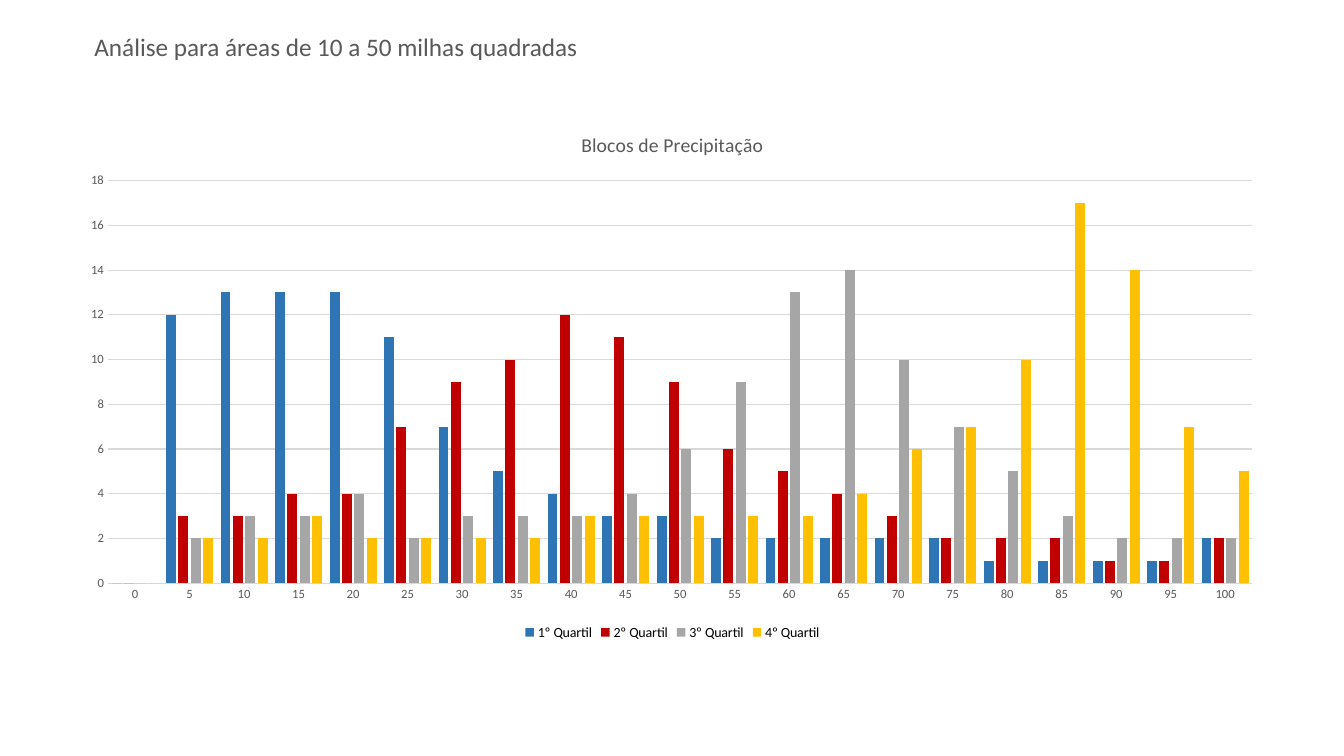
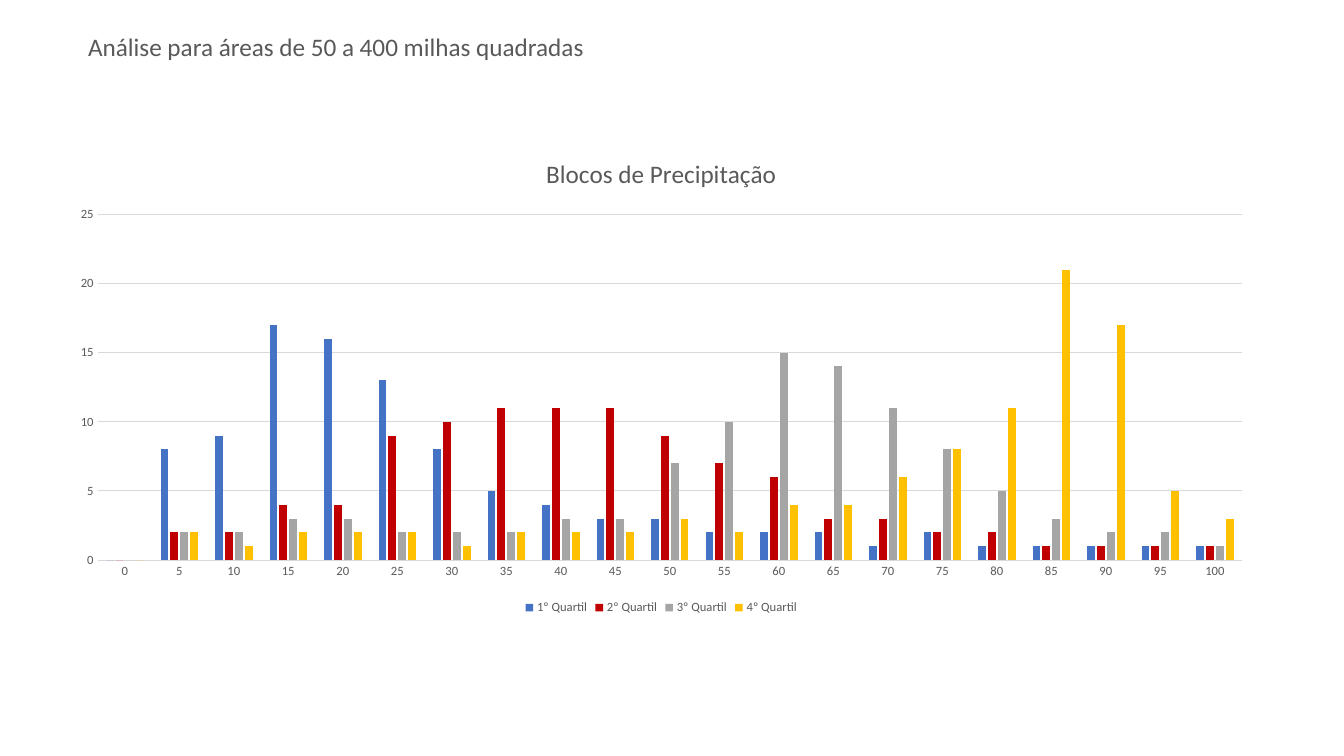
import pptx
import pptx.chart.data
import pptx.dml.color
import pptx.enum.chart
import pptx.enum.text
import pptx.oxml
import pptx.oxml.ns
import pptx.util

Pt = pptx.util.Pt
FONT = "Calibri"
COLORS = {
    "text": "595959",
    "legend": "000000",
    "grid": "D9D9D9",
    "red": "C00000",
    "yellow": "FFC000",
}
CATEGORIES = [str(n) for n in range(0, 101, 5)]
QUARTILES = ["1º Quartil", "2º Quartil", "3º Quartil", "4º Quartil"]
HEADING_BOX = (0, 18.7, 480, 29)

SLIDES = [
    {
        "heading": "Análise para áreas de 10 a 50 milhas quadradas",
        "box": (49, 80, 862.6, 380.2),
        "insets": (28, 49, 17, 43.5),
        "title_size": 14,
        "legend": (10, "legend"),
        "gap": 75,
        "overlap": -25,
        "scale": (18, 2),
        "fills": ["2E75B6", COLORS["red"], "A6A6A6", COLORS["yellow"]],
        "values": [
            [0, 12, 13, 13, 13, 11, 7, 5, 4, 3, 3, 2, 2, 2, 2, 2, 1, 1, 1, 1, 2],
            [0, 3, 3, 4, 4, 7, 9, 10, 12, 11, 9, 6, 5, 4, 3, 2, 2, 2, 1, 1, 2],
            [0, 2, 3, 3, 4, 2, 3, 3, 3, 4, 6, 9, 13, 14, 10, 7, 5, 3, 2, 2, 2],
            [0, 2, 2, 3, 2, 2, 2, 2, 3, 3, 3, 3, 3, 4, 6, 7, 10, 17, 14, 7, 5],
        ],
    },
    {
        "heading": "Análise para áreas de 50 a 400 milhas quadradas",
        "box": (40.3, 97.9, 864, 344.2),
        "insets": (29.4, 55.3, 17, 42),
        "title_size": 18,
        "legend": (9, "text"),
        "gap": 219,
        "overlap": -27,
        "scale": (25, 5),
        "fills": ["4472C4", COLORS["red"], "A5A5A5", COLORS["yellow"]],
        "values": [
            [0, 8, 9, 17, 16, 13, 8, 5, 4, 3, 3, 2, 2, 2, 1, 2, 1, 1, 1, 1, 1],
            [0, 2, 2, 4, 4, 9, 10, 11, 11, 11, 9, 7, 6, 3, 3, 2, 2, 1, 1, 1, 1],
            [0, 2, 2, 3, 3, 2, 2, 2, 3, 3, 7, 10, 15, 14, 11, 8, 5, 3, 2, 2, 1],
            [0, 2, 1, 2, 2, 2, 1, 2, 2, 2, 3, 2, 4, 4, 6, 8, 11, 21, 17, 5, 3],
        ],
    },
]


def rgb(value):
    return pptx.dml.color.RGBColor.from_string(value)


def style_font(font, size, color="text"):
    font.name = FONT
    font.size = Pt(size)
    font.bold = False
    font.color.rgb = rgb(COLORS[color])


def style_line(line):
    line.color.rgb = rgb(COLORS["grid"])
    line.width = Pt(0.75)


def add_heading(s, box, text):
    tf = s.shapes.add_textbox(*map(Pt, box)).text_frame
    tf.word_wrap = True
    tf.auto_size = pptx.enum.text.MSO_AUTO_SIZE.SHAPE_TO_FIT_TEXT
    tf.text = text
    p = tf.paragraphs[0]
    p.alignment = pptx.enum.text.PP_ALIGN.CENTER
    style_font(p.runs[0].font, 18)


def set_plot_insets(chart, box, insets):
    width, height = box[2:]
    left, top, right, bottom = insets
    fractions = {
        "x": left / width,
        "y": top / height,
        "w": (width - left - right) / width,
        "h": (height - top - bottom) / height,
    }
    plot_area = chart.plots[0]._element.getparent()
    old = plot_area.find(pptx.oxml.ns.qn("c:layout"))
    if old is not None:
        plot_area.remove(old)
    values = "".join(f'<c:{k} val="{v:.4f}"/>' for k, v in fractions.items())
    plot_area.insert(0, pptx.oxml.parse_xml(
        f'<c:layout {pptx.oxml.ns.nsdecls("c")}><c:manualLayout>'
        '<c:layoutTarget val="inner"/><c:xMode val="edge"/><c:yMode val="edge"/>'
        f'{values}</c:manualLayout></c:layout>'))


def style_axes(chart, scale):
    for axis in (chart.category_axis, chart.value_axis):
        axis.major_tick_mark = pptx.enum.chart.XL_TICK_MARK.NONE
        axis.minor_tick_mark = pptx.enum.chart.XL_TICK_MARK.NONE
        style_font(axis.tick_labels.font, 9)
    style_line(chart.category_axis.format.line)
    axis = chart.value_axis
    axis.format.line.fill.background()
    axis.has_major_gridlines = True
    style_line(axis.major_gridlines.format.line)
    axis.minimum_scale = 0
    axis.maximum_scale, axis.major_unit = scale
    axis.tick_labels.number_format = "0"
    axis.tick_labels.number_format_is_linked = False


def add_precipitation_chart(s, box, item):
    data = pptx.chart.data.CategoryChartData()
    data.categories = CATEGORIES
    for name, values in zip(QUARTILES, item["values"]):
        data.add_series(name, values)
    chart = s.shapes.add_chart(
        pptx.enum.chart.XL_CHART_TYPE.COLUMN_CLUSTERED, *map(Pt, box), data).chart
    style_font(chart.font, 10, "legend")
    chart.has_title = True
    tf = chart.chart_title.text_frame
    tf.text = "Blocos de Precipitação"
    style_font(tf.paragraphs[0].runs[0].font, item["title_size"])
    chart.has_legend = True
    chart.legend.position = pptx.enum.chart.XL_LEGEND_POSITION.BOTTOM
    chart.legend.include_in_layout = False
    style_font(chart.legend.font, *item["legend"])
    plot = chart.plots[0]
    plot.vary_by_categories = False
    plot.gap_width = item["gap"]
    plot.overlap = item["overlap"]
    for series, color in zip(plot.series, item["fills"]):
        series.format.fill.solid()
        series.format.fill.fore_color.rgb = rgb(color)
    style_axes(chart, item["scale"])
    set_plot_insets(chart, box, item["insets"])


def main():
    prs = pptx.Presentation()
    prs.slide_width = Pt(960)
    prs.slide_height = Pt(540)
    for item in SLIDES:
        s = prs.slides.add_slide(prs.slide_layouts[6])
        add_precipitation_chart(s, item["box"], item)
        add_heading(s, HEADING_BOX, item["heading"])
    prs.save("out.pptx")


if __name__ == "__main__":
    main()
